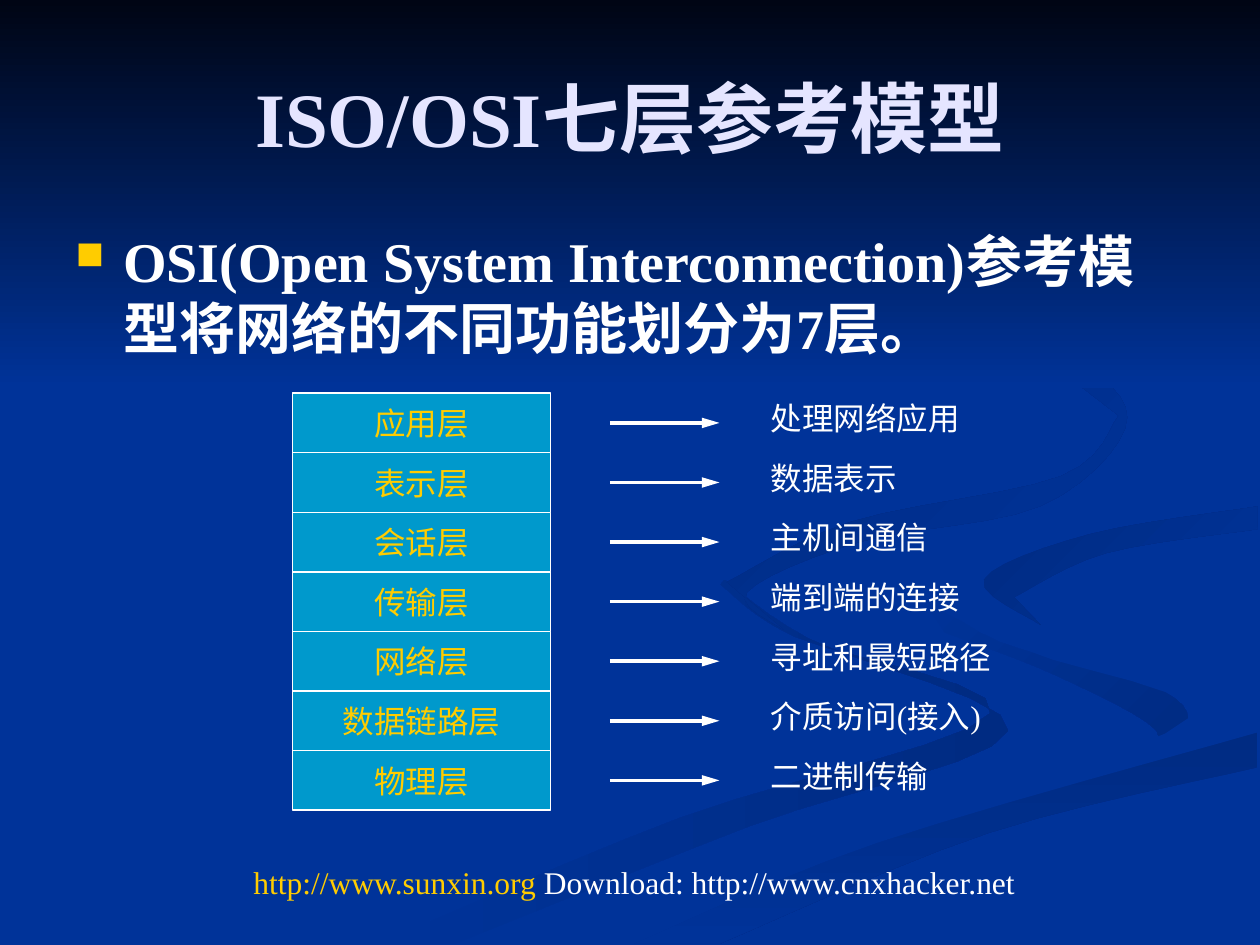
import pptx
import pptx.util
import pptx.dml.color
import pptx.enum.shapes
import pptx.enum.text
import pptx.oxml
from dataclasses import dataclass
from lxml import etree
from pptx.util import Inches


@dataclass(frozen=True)
class Theme:
    font: str = "Times New Roman"
    background: str = "003399"
    night: str = "000514"
    shade: str = "002B82"
    title: str = "E5E5FF"
    text: str = "FFFFFF"
    accent: str = "FFCC00"
    layer: str = "0099CC"
    title_size: int = 44
    body_size: int = 32
    label_size: int = 18


theme = Theme()
rgb = pptx.dml.color.RGBColor.from_string
qn = pptx.oxml.ns.qn
ALIGN = pptx.enum.text.PP_ALIGN
ANCHOR = pptx.enum.text.MSO_ANCHOR


def add_ribbon(page, edges, start, end, angle, steps=6):
    """Add a gradient outline whose edges are smooth curves through a few points."""
    outline = []
    for edge in edges:
        guides = [edge[0], *edge, edge[-1]]
        for a, b, c, d in zip(guides, guides[1:], guides[2:], guides[3:]):
            for t in (step / steps for step in range(steps)):
                outline.append([
                    (2 * q + (r - p) * t + (2 * p - 5 * q + 4 * r - s) * t ** 2
                     + (3 * q - p - 3 * r + s) * t ** 3) / 2 * Inches(1)
                    for p, q, r, s in zip(a, b, c, d)])
        outline.append([value * Inches(1) for value in edge[-1]])
    builder = page.shapes.build_freeform(*outline[0], scale=1.0)
    builder.add_line_segments(outline[1:], close=True)
    shape = builder.convert_to_shape()
    shape.shadow.inherit = False
    shape.line.fill.background()
    shape.fill.gradient()
    shape.fill.gradient_angle = -angle % 360
    for stop, color, position in zip(shape.fill.gradient_stops, (start, end), (0, 1)):
        stop.color.rgb = rgb(color)
        stop.position = position


def write(shape, text, size, color, align=ALIGN.LEFT, anchor=ANCHOR.TOP, wrap=True):
    """Fill a shape with one styled paragraph and return the paragraph."""
    frame = shape.text_frame
    frame.word_wrap = wrap
    frame.vertical_anchor = anchor
    para = frame.paragraphs[0]
    para.text = text
    para.alignment = align
    para.font.name = theme.font
    para.font.size = pptx.util.Pt(size)
    para.font.color.rgb = rgb(color)
    return para


deck = pptx.Presentation()
deck.slide_width, deck.slide_height = Inches(10), Inches(7.5)
page = deck.slides.add_slide(deck.slide_layouts[6])
page.background.fill.solid()
page.background.fill.fore_color.rgb = rgb(theme.background)

# Background: ribbons, then the dark band at the top
ribbons = [
    ([[(5.75, 4.6), (6.42, 5.07), (8, 5.8), (5.94, 6.56), (3.61, 7.49)],
      [(3, 7.49), (5.4, 6.49), (7.86, 5.66), (6.3, 5.05), (5.72, 4.64)]],
     theme.background, theme.shade, 0),
    ([[(7.24, 4.64), (7.92, 5.09), (9.05, 5.4), (9.43, 5.7), (9.06, 6.01)],
      [(8.94, 6.05), (9.18, 5.8), (8.38, 5.36), (7.5, 5.02)]],
     theme.background, theme.shade, 45),
    ([[(5.03, 7.49), (6.96, 6.69), (9.98, 5.81)],
      [(9.98, 6.09), (7.85, 6.61), (5.71, 7.49)]],
     theme.shade, theme.background, 90),
    ([[(4.77, 7.49), (7.04, 6.55), (9.43, 5.7), (8.12, 5.15), (7.25, 4.64),
       (8.08, 4.17), (9.99, 3.87)],
      [(9.99, 4.02), (8.35, 4.3), (7.81, 4.63), (8.66, 5.09), (9.99, 5.38)],
      [(9.99, 5.81), (6.96, 6.69), (5.03, 7.49)]],
     theme.background, theme.background, 0),
    ([[(8.26, 4.96), (7.81, 4.6), (8.65, 4.24), (9.98, 4.02)],
      [(9.98, 4.2), (8.78, 4.39), (8.05, 4.74)]],
     theme.shade, theme.background, 45),
    ([[(7.62, 2.33), (8.64, 2.91), (8.93, 3.4), (8.25, 4.02), (6.83, 4.3),
       (5.93, 4.7), (6.22, 5)],
      [(5.77, 4.62), (6.76, 4.14), (8.42, 3.78), (8.88, 3.3)]],
     theme.shade, theme.background, 45),
    ([[(0, 0), (10, 0)], [(10, 3.08), (0, 3.08)]], theme.night, theme.background, 90),
]
for ribbon in ribbons:
    add_ribbon(page, *ribbon)

title = page.shapes.add_textbox(Inches(0.5), Inches(0.3), Inches(9), Inches(1.25))
para = write(title, "ISO/OSI七层参考模型", theme.title_size, theme.title,
             ALIGN.CENTER, ANCHOR.MIDDLE)
para.font.bold = True

body = page.shapes.add_textbox(Inches(0.5), Inches(1.75), Inches(9), Inches(1.29))
bullet = body.text_frame.paragraphs[0]._p.get_or_add_pPr()
bullet.set("marL", str(Inches(0.38)))
bullet.set("indent", str(Inches(-0.38)))
bullet_color = etree.SubElement(bullet, qn("a:buClr"))
etree.SubElement(bullet_color, qn("a:srgbClr"), val=theme.accent)
etree.SubElement(bullet, qn("a:buSzPct"), val="70000")
etree.SubElement(bullet, qn("a:buChar"), char="■")
para = write(body, "OSI(Open System Interconnection)参考模型将网络的不同功能划分为7层。",
             theme.body_size, theme.text)
para.font.bold = True

# One row per layer: name, arrow, purpose
layers = [
    ("应用层", "处理网络应用"),
    ("表示层", "数据表示"),
    ("会话层", "主机间通信"),
    ("传输层", "端到端的连接"),
    ("网络层", "寻址和最短路径"),
    ("数据链路层", "介质访问(接入)"),
    ("物理层", "二进制传输"),
]
first_top = Inches(3.12)
row_height = Inches(3.31) // len(layers)
for index, (name, purpose) in enumerate(layers):
    top = first_top + index * row_height
    middle = top + row_height // 2

    layer = page.shapes.add_shape(pptx.enum.shapes.MSO_SHAPE.RECTANGLE,
                                  Inches(2.32), top, Inches(2.05), row_height)
    layer.shadow.inherit = False
    layer.fill.solid()
    layer.fill.fore_color.rgb = rgb(theme.layer)
    layer.line.color.rgb = rgb(theme.text)
    layer.line.width = pptx.util.Pt(0.75)
    write(layer, name, theme.label_size, theme.accent, ALIGN.CENTER, ANCHOR.MIDDLE, False)

    arrow = page.shapes.add_connector(pptx.enum.shapes.MSO_CONNECTOR.STRAIGHT,
                                      Inches(4.84), middle, Inches(5.71), middle)
    arrow.line.color.rgb = rgb(theme.text)
    arrow.line.width = pptx.util.Pt(2)
    properties = arrow._element.spPr
    etree.SubElement(properties.find(qn("a:ln")), qn("a:tailEnd"),
                     type="triangle", w="med", len="lg")
    etree.SubElement(properties, qn("a:effectLst"))

    purpose_width = Inches(2.2 if len(purpose) > 6 else 1.73)
    box = page.shapes.add_textbox(Inches(6.02), top, purpose_width, Inches(0.4))
    write(box, purpose, theme.label_size, theme.text)

footer = page.shapes.add_textbox(Inches(1.77), Inches(6.8), Inches(6.53), Inches(0.7))
para = write(footer, "http://www.sunxin.org", theme.label_size, theme.text, ALIGN.CENTER)
para.runs[0].font.color.rgb = rgb(theme.accent)
span = para.add_run()
span.text = " Download: http://www.cnxhacker.net"

deck.save("out.pptx")
